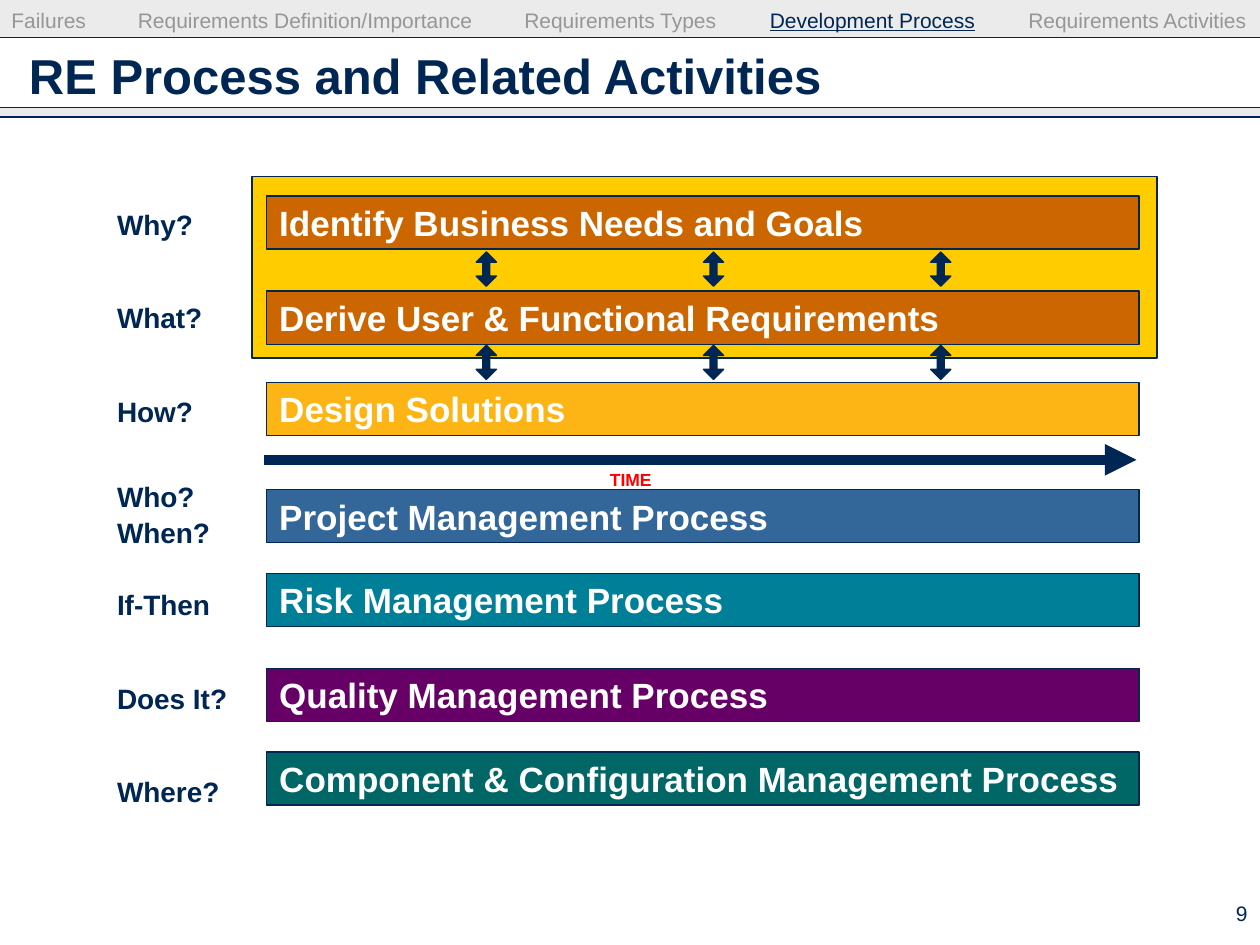
"""Build the slide on the RE process and its related activities."""
from lxml import etree
from pptx import Presentation
from pptx.dml.color import RGBColor
from pptx.enum.shapes import MSO_CONNECTOR, MSO_SHAPE
from pptx.enum.text import MSO_ANCHOR, PP_ALIGN
from pptx.oxml.ns import qn
from pptx.util import Cm, Pt

RECTANGLE, DOUBLE_ARROW = MSO_SHAPE.RECTANGLE, MSO_SHAPE.UP_DOWN_ARROW
STRAIGHT = MSO_CONNECTOR.STRAIGHT
TOP, MIDDLE = MSO_ANCHOR.TOP, MSO_ANCHOR.MIDDLE
LEFT, CENTER, RIGHT = PP_ALIGN.LEFT, PP_ALIGN.CENTER, PP_ALIGN.RIGHT

COLORS = {
    "navy": "002654", "band": "CDCDCD", "muted": "969696", "white": "FFFFFF",
    "red": "FF0000", "panel": "FFCC00", "orange": "CC6600", "amber": "FCB514",
    "blue": "336699", "teal": "007F99", "purple": "660066", "green": "006666",
}
TITLE = "RE Process and Related Activities"
SECTIONS = ["Failures", "Requirements Definition/Importance", "Requirements Types",
            "Development Process", "Requirements Activities"]
CURRENT_SECTION = "Development Process"
SECTION_TABS = [2.55, 10.34, 15.29, 20.5]
BARS = [
    ("Identify Business Needs and Goals", 3.95, "orange"),
    ("Derive User & Functional Requirements", 5.87, "orange"),
    ("Design Solutions", 7.71, "amber"),
    ("Project Management Process", 9.87, "blue"),
    ("Risk Management Process", 11.56, "teal"),
    ("Quality Management Process", 13.47, "purple"),
    ("Component & Configuration Management Process", 15.16, "green"),
]
QUESTIONS = [("Why?", 0), ("What?", 34.2), ("How?", 34.2), ("Who?", 29.6),
             ("When?", 1), ("If-Then", 22.2), ("Does It?", 34.5), ("Where?", 34.2)]
WIDTH, HEIGHT = 25.4, 19.05
BANDS = [(0, 0.76), (2.16, 0.18)]
RULES = [0.76, 2.16, 2.36]
BAR_LEFT, BAR_WIDTH, BAR_HEIGHT = 5.38, 17.58, 1.07
ARROW_LEFT, ARROW_PITCH, ARROW_TOPS = 9.6, 4.58, [5.08, 6.96]


def color(name):
    return RGBColor.from_string(COLORS[name])


def style(paragraph, size, color_name, bold=False, alignment=LEFT):
    paragraph.alignment = alignment
    font = paragraph.font
    font.name, font.size, font.bold = "Arial", Pt(size), bold
    font.color.rgb = color(color_name)


def add_box(slide, preset, left, top, width, height, fill, line_width=0.75):
    shape = slide.shapes.add_shape(preset, Cm(left), Cm(top), Cm(width), Cm(height))
    shape.shadow.inherit = False
    shape.fill.solid()
    shape.fill.fore_color.rgb = color(fill)
    if line_width:
        shape.line.color.rgb = color("navy")
        shape.line.width = Pt(line_width)
    else:
        shape.line.fill.background()
    return shape


def add_line(slide, left, right, y, width):
    line = slide.shapes.add_connector(STRAIGHT, Cm(left), Cm(y), Cm(right), Cm(y))
    line.line.color.rgb = color("navy")
    line.line.width = Pt(width)
    etree.SubElement(line._element.spPr, qn("a:effectLst"))
    return line


def add_text(slide, left, top, width, height, anchor=MIDDLE, wrap=False):
    box = slide.shapes.add_textbox(Cm(left), Cm(top), Cm(width), Cm(height))
    frame = box.text_frame
    frame.word_wrap, frame.vertical_anchor = wrap, anchor
    return frame


def add_header(slide):
    for top, height in BANDS:
        band = add_box(slide, RECTANGLE, 0, top, WIDTH, height, "band", 0)
        fill_color = band._element.spPr.find(".//" + qn("a:srgbClr"))
        etree.SubElement(fill_color, qn("a:alpha"), val="40000")
    for y in RULES:
        add_line(slide, 0, WIDTH, y, 0.75)

    title = slide.shapes.title
    title.left, title.top, title.width, title.height = Cm(0.33), Cm(0.66), Cm(24.74), Cm(1.68)
    title.text_frame.text = TITLE
    title.text_frame.vertical_anchor = MIDDLE
    style(title.text_frame.paragraphs[0], 28, "navy", True)

    frame = add_text(slide, 0, 0.15, WIDTH, 0.6, TOP, True)
    frame.margin_left, frame.margin_right, frame.margin_top = Cm(0.23), 0, 0
    paragraph = frame.paragraphs[0]
    tabs = etree.SubElement(paragraph._p.get_or_add_pPr(), qn("a:tabLst"))
    for position in SECTION_TABS:
        etree.SubElement(tabs, qn("a:tab"), pos=str(Cm(position)), algn="l")
    style(paragraph, 12, "muted")
    for index, section in enumerate(SECTIONS):
        if index:
            paragraph.add_run().text = "\t"
        run = paragraph.add_run()
        run.text = section
        if section == CURRENT_SECTION:
            run.font.underline = True
            run.font.color.rgb = color("navy")


def add_process(slide):
    add_box(slide, RECTANGLE, 5.08, 3.56, 18.24, 3.66, "panel", 1)
    for text, top, fill in BARS:
        bar = add_box(slide, RECTANGLE, BAR_LEFT, top, BAR_WIDTH, BAR_HEIGHT, fill)
        frame = bar.text_frame
        frame.text = text
        frame.word_wrap, frame.vertical_anchor = False, MIDDLE
        style(frame.paragraphs[0], 20, "white", True)

    for top in ARROW_TOPS:
        for column in range(3):
            arrow = add_box(slide, DOUBLE_ARROW, ARROW_LEFT + column * ARROW_PITCH,
                            top, 0.41, 0.69, "navy")
            arrow.adjustments[1] = 0.34

    time_line = add_line(slide, 5.33, 22.91, 9.27, 6)
    outline = time_line._element.spPr.find(qn("a:ln"))
    etree.SubElement(outline, qn("a:tailEnd"), type="triangle")
    frame = add_text(slide, 12.04, 9.32, 1.35, 0.69)
    frame.text = "TIME"
    style(frame.paragraphs[0], 10, "red", True, CENTER)


def add_questions(slide):
    frame = add_text(slide, 2.11, 4.06, 3.38, 12.2, TOP, True)
    for index, (question, space_before) in enumerate(QUESTIONS):
        paragraph = frame.add_paragraph() if index else frame.paragraphs[0]
        paragraph.text = question
        if space_before:
            paragraph.space_before = Pt(space_before)
        style(paragraph, 16, "navy", True)


def main():
    presentation = Presentation()
    presentation.slide_width, presentation.slide_height = Cm(WIDTH), Cm(HEIGHT)
    slide = presentation.slides.add_slide(presentation.slide_layouts[5])
    add_header(slide)
    add_questions(slide)
    add_process(slide)
    frame = add_text(slide, 23.62, 17.98, 1.78, 0.86)
    frame.text = "9"
    style(frame.paragraphs[0], 12, "navy", alignment=RIGHT)
    presentation.save("out.pptx")


if __name__ == "__main__":
    main()
